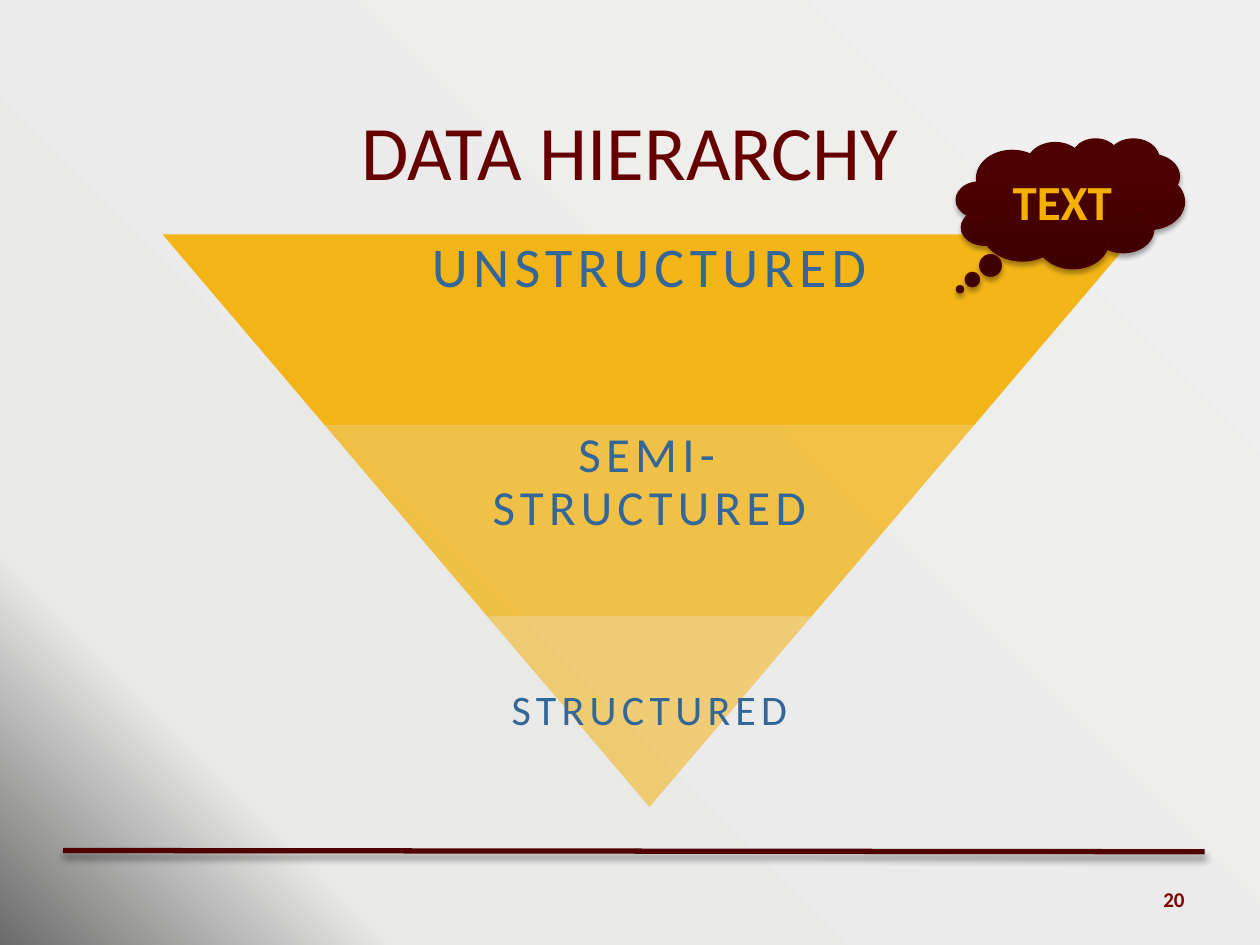
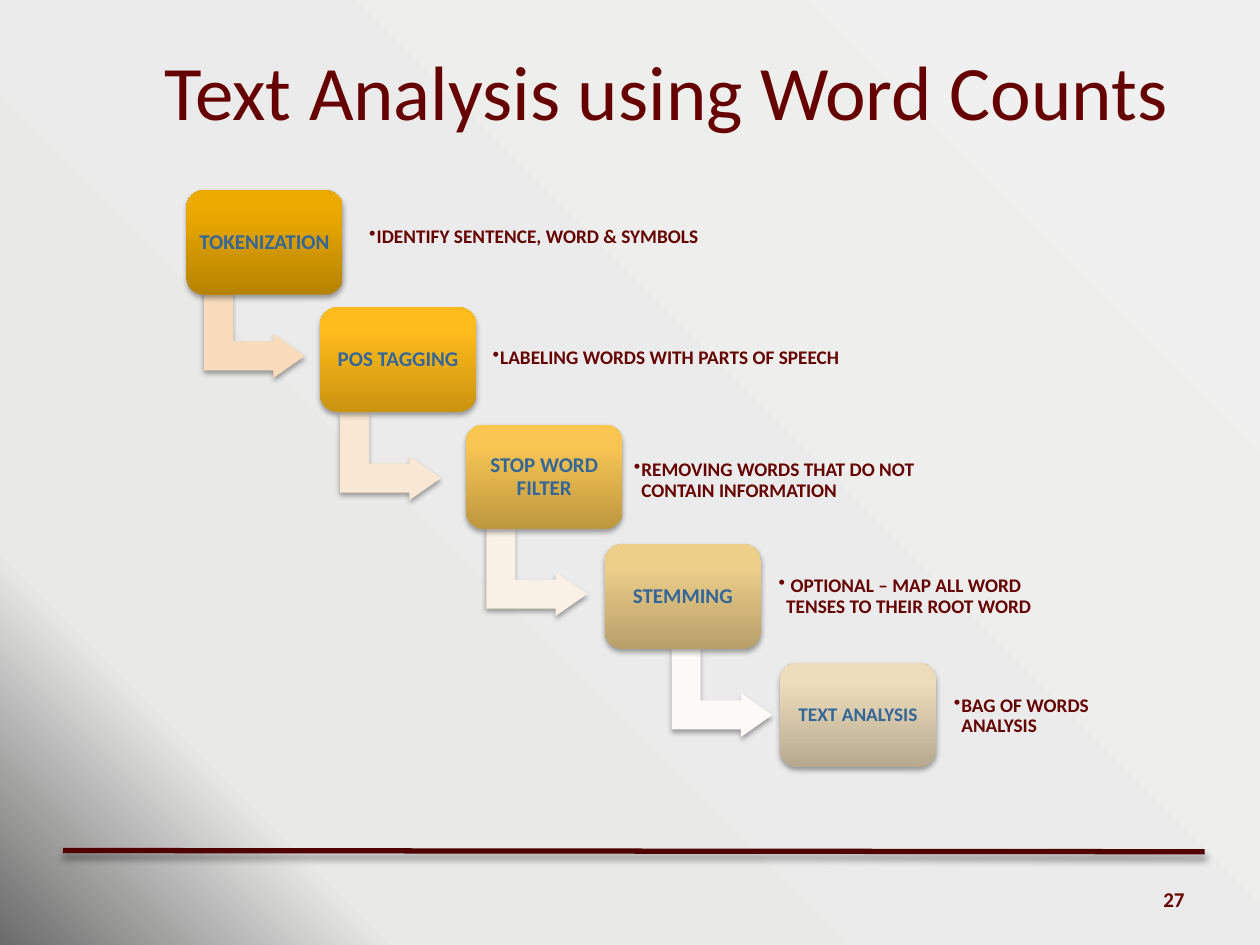
from dataclasses import dataclass

import pptx
import pptx.dml.color
import pptx.enum.shapes
import pptx.enum.text
import pptx.oxml
import pptx.oxml.ns
import pptx.util

SHAPE = pptx.enum.shapes.MSO_SHAPE
ALIGN = pptx.enum.text.PP_ALIGN
ANCHOR = pptx.enum.text.MSO_ANCHOR
NAMESPACE = pptx.oxml.ns.nsdecls("a")
COLUMNS, ROWS = 100, 75


@dataclass(frozen=True)
class Theme:
    font: str = "Calibri"
    title: str = "660000"
    label: str = "336699"
    gold: str = "F4AF00"
    number: str = "800000"
    rule: str = "500000"
    cloud: str = "4E0000"
    cloud_gradient: tuple = ("3C0000", "4E0000", "4E0000")
    backdrop: tuple = ("F0F0F0", "E9E9E8", "6B6B6B")
    gradient_stops: tuple = (0, 82, 100)
    shape_stops: tuple = (0, 80, 100)
    shape_shadow: tuple = (35, 3.1, 1.8)
    rule_shadow: tuple = (40, 4, 3)
    title_size: int = 44
    cloud_size: int = 28
    step_size: int = 12
    note_size: int = 11
    number_size: int = 12


@dataclass(frozen=True)
class Step:
    label: str
    place: tuple
    gradient: tuple
    note: str
    note_place: tuple  # left, top, width
    arrow: tuple = ()  # left, top, colour
    size: int = Theme.step_size


LEVELS = [
    # label, size, opacity, share of the band's width, anchor
    ("UNSTRUCTURED", 32, 90, 0.65, ANCHOR.TOP),
    ("SEMI-STRUCTURED", 28, 70, 0.65, ANCHOR.TOP),
    ("STRUCTURED", 24, 50, 1, ANCHOR.MIDDLE),
]

STEPS = [
    Step("TOKENIZATION", (14.8, 15.1), ("B68300", "ECAA00", "EEAA00"),
         "IDENTIFY SENTENCE, WORD & SYMBOLS", (28.8, 15.5, 34.7), (16.7, 22.5, "FADCBD")),
    Step("POS TAGGING", (25.4, 24.4), ("CB940F", "FFBC1C", "FFBD1D"),
         "LABELING WORDS WITH PARTS OF SPEECH", (38.6, 25.1, 35.6), (27.5, 32.2, "F8E7D2")),
    Step("STOP WORD FILTER", (37, 33.7), ("BE983F", "F7C552", "FCC74F"),
         "REMOVING WORDS THAT DO NOT CONTAIN INFORMATION", (49.8, 34.8, 23.8),
         (39.1, 41.4, "F9F1E5")),
    Step("STEMMING", (48, 43.2), ("B89F6A", "EECF8A", "F1D088"),
         " OPTIONAL – MAP ALL WORD TENSES TO THEIR ROOT WORD", (61.3, 44, 23.7),
         (53.8, 51, "FCFAF6")),
    Step("TEXT ANALYSIS", (61.9, 52.6), ("B6A98F", "ECDCBA", "EEDDBA"),
         "BAG OF WORDS ANALYSIS", (75.2, 53.5, 13.8), size=Theme.note_size),
]


def rgb(code):
    return pptx.dml.color.RGBColor.from_string(code)


class Painter:
    """Holds the theme and the current page; places are left, top, width, height in grid cells."""

    def __init__(self, theme):
        self.theme = theme
        self.deck = pptx.Presentation()
        self.deck.slide_width = pptx.util.Inches(10)
        self.deck.slide_height = pptx.util.Inches(7.5)
        self.page = None
        master = self.deck.slide_master
        self.gradient(master.background.fill, master.element, theme.backdrop, theme.gradient_stops,
                      '<a:path {} path="circle"><a:fillToRect l="100000" b="100000"/></a:path>')

    def grid(self, *lengths):
        """Turns alternating columns and rows into slide lengths."""
        cells = (self.deck.slide_width / COLUMNS, self.deck.slide_height / ROWS)
        return [round(length * cells[i % 2]) for i, length in enumerate(lengths)]

    def gradient(self, fill, owner, colours, stops, direction):
        fill.gradient()
        node = owner.find(".//" + pptx.oxml.ns.qn("a:gradFill"))
        for child in list(node):
            node.remove(child)
        marks = "".join(f'<a:gs pos="{stop * 1000}"><a:srgbClr val="{colour}"/></a:gs>'
                        for stop, colour in zip(stops, colours))
        node.append(pptx.oxml.parse_xml(f"<a:gsLst {NAMESPACE}>{marks}</a:gsLst>"))
        node.append(pptx.oxml.parse_xml(direction.format(NAMESPACE)))

    def cast_shadow(self, effects, opacity, blur, distance):
        effects.append(pptx.oxml.parse_xml(
            f'<a:outerShdw {NAMESPACE} blurRad="{pptx.util.Pt(blur)}" '
            f'dist="{pptx.util.Pt(distance)}" dir="5400000" rotWithShape="0">'
            f'<a:srgbClr val="000000"><a:alpha val="{opacity * 1000}"/></a:srgbClr></a:outerShdw>'))

    def set_text(self, shape, text, size, colour, align=ALIGN.CENTER, anchor=ANCHOR.MIDDLE,
                 bold=False, inset=None, line_spacing=None, tracking=0, bullet=False):
        frame = shape.text_frame
        frame.word_wrap = True
        frame.vertical_anchor = anchor
        if inset is not None:
            frame.margin_left = frame.margin_right = pptx.util.Inches(inset)
            frame.margin_top = frame.margin_bottom = pptx.util.Inches(inset)
        frame.text = text
        para = frame.paragraphs[0]
        para.alignment = align
        if bullet:
            hang = pptx.util.Inches(0.06)
            para.level = 1
            properties = para._p.get_or_add_pPr()
            properties.set("marL", str(hang))
            properties.set("indent", str(-hang))
            properties.append(pptx.oxml.parse_xml(f'<a:buChar {NAMESPACE} char="•"/>'))
        if line_spacing:
            para.line_spacing = line_spacing
        for span in para.runs:
            span.font.name = self.theme.font
            span.font.size = pptx.util.Pt(size)
            span.font.bold = bold
            span.font.color.rgb = rgb(colour)
            if tracking:
                span._r.get_or_add_rPr().set("spc", str(tracking * 100))

    def text(self, place, text, size, colour, **style):
        box = self.page.shapes.add_textbox(*self.grid(*place))
        self.set_text(box, text, size, colour, **style)

    def shape(self, kind, place, fill, opacity=100, line=None, rotation=0,
              adjustments=(), shadow=True):
        """Draws a preset shape; fill is one colour or three gradient colours."""
        shape = self.page.shapes.add_shape(kind, *self.grid(*place))
        shape.rotation = rotation
        for index, value in enumerate(adjustments):
            shape.adjustments[index] = value
        if isinstance(fill, tuple):
            self.gradient(shape.fill, shape._element.spPr, fill, self.theme.shape_stops,
                          '<a:lin {} ang="16200000" scaled="0"/>')
        else:
            shape.fill.solid()
            shape.fill.fore_color.rgb = rgb(fill)
            if opacity < 100:
                tint = shape._element.spPr.find(".//" + pptx.oxml.ns.qn("a:srgbClr"))
                tint.append(pptx.oxml.parse_xml(
                    f'<a:alpha {NAMESPACE} val="{opacity * 1000}"/>'))
        if line:
            shape.line.color.rgb = rgb(line)
            shape.line.width = pptx.util.Pt(0.75)
        else:
            shape.line.fill.background()
        shape.shadow.inherit = False
        if shadow:
            effects = shape._element.spPr.find(pptx.oxml.ns.qn("a:effectLst"))
            self.cast_shadow(effects, *self.theme.shape_shadow)
        return shape

    def footer_rule(self):
        rule = self.page.shapes.add_connector(
            pptx.enum.shapes.MSO_CONNECTOR.STRAIGHT, *self.grid(5, 67.5, 95.6, 67.6))
        rule.line.color.rgb = rgb(self.theme.rule)
        rule.line.width = pptx.util.Pt(3)
        effects = pptx.oxml.parse_xml(f"<a:effectLst {NAMESPACE}/>")
        rule._element.spPr.append(effects)
        self.cast_shadow(effects, *self.theme.rule_shadow)

    def new_page(self, title, title_place, number, number_colour):
        self.page = self.deck.slides.add_slide(self.deck.slide_layouts[5])
        self.footer_rule()
        heading = self.page.shapes.title
        heading.left, heading.top, heading.width, heading.height = self.grid(*title_place)
        self.set_text(heading, title, self.theme.title_size, self.theme.title)
        self.text((71.7, 69.4, 23.3, 4), number, self.theme.number_size, number_colour,
                  align=ALIGN.RIGHT, bold=True)


def draw_hierarchy(painter):
    theme = painter.theme
    painter.new_page("DATA HIERARCHY", (5, 5.6, 90, 12.5), "20", theme.number)
    left, top, band_height, slant = 12.9, 18.6, 15.15, 12.88
    for index, (label, size, opacity, share, anchor) in enumerate(LEVELS):
        width = 2 * slant * (len(LEVELS) - index)
        band_left, band_top = left + slant * index, top + band_height * index
        painter.shape(SHAPE.TRAPEZOID, (band_left, band_top, width, band_height), theme.gold,
                      opacity, rotation=180, adjustments=[slant / band_height], shadow=False)
        painter.text((band_left + width * (1 - share) / 2, band_top, width * share, band_height),
                     label, size, theme.label, anchor=anchor, inset=0.04,
                     line_spacing=0.9, tracking=3)
    cloud = painter.shape(SHAPE.CLOUD_CALLOUT, (75.9, 11, 18.1, 10.3), theme.cloud_gradient,
                          line=theme.cloud, adjustments=[-0.484, 0.661])
    painter.set_text(cloud, "TEXT", theme.cloud_size, theme.gold, bold=True)


def draw_word_counts(painter):
    theme = painter.theme
    painter.new_page("Text Analysis using Word Counts", (7.9, 0.9, 90, 12.5), "27", theme.title)
    small_text = dict(bold=True, inset=0.05, line_spacing=0.9)
    for step in STEPS:
        if step.arrow:
            *corner, colour = step.arrow
            painter.shape(SHAPE.BENT_UP_ARROW, (*corner, 7, 8), colour, rotation=90,
                          adjustments=[0.328, 0.25, 0.358])
        card = painter.shape(SHAPE.ROUNDED_RECTANGLE, (*step.place, 12.4, 8.3), step.gradient,
                             adjustments=[0.167])
        painter.set_text(card, step.label, step.size, theme.label, **small_text)
        painter.text((*step.note_place, 6.7), step.note, theme.note_size, theme.title,
                     align=ALIGN.LEFT, bullet=True, **small_text)


def main():
    painter = Painter(Theme())
    draw_hierarchy(painter)
    draw_word_counts(painter)
    painter.deck.save("out.pptx")


if __name__ == "__main__":
    main()
